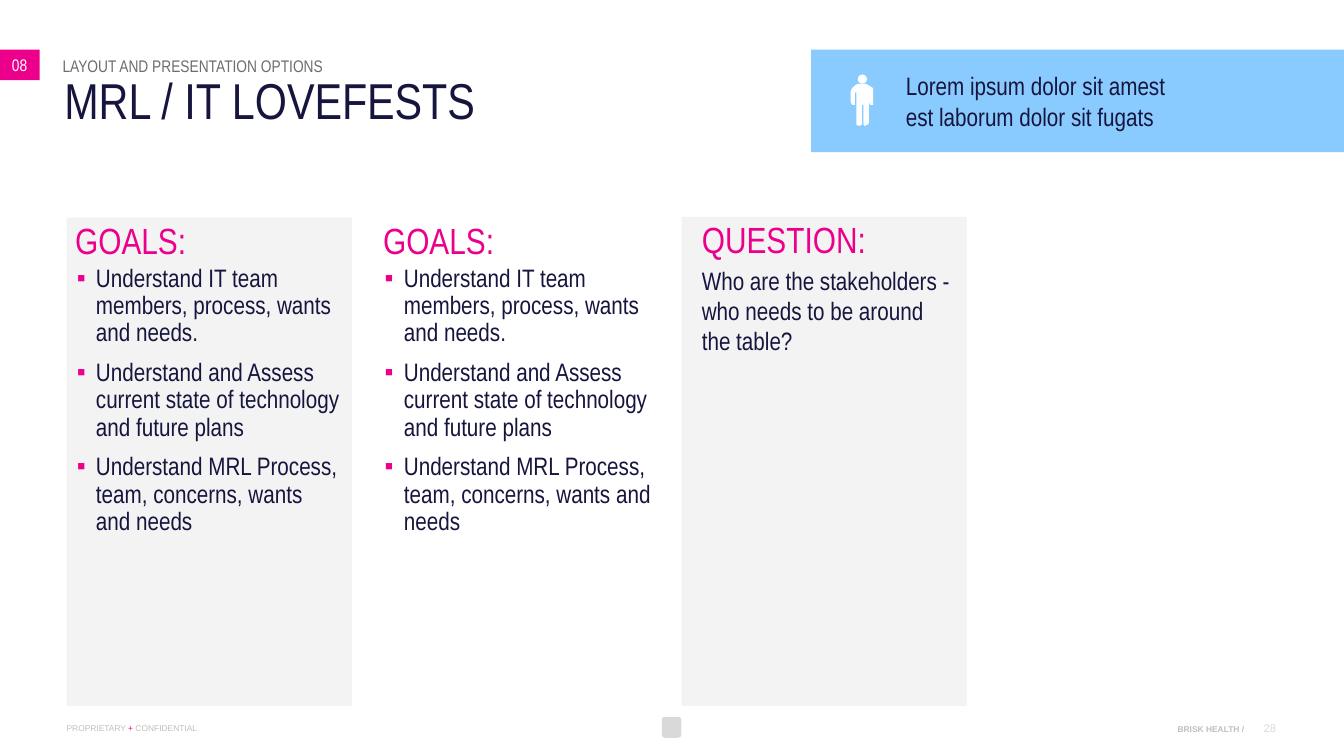
from lxml.etree import SubElement
from pptx import Presentation
from pptx.dml.color import RGBColor
from pptx.enum.shapes import MSO_SHAPE as Shape
from pptx.enum.text import MSO_ANCHOR as Anchor, PP_ALIGN as Align
from pptx.oxml.ns import qn
from pptx.util import Pt

COLORS = {
    "pink": "EC008B",
    "navy": "16153E",
    "sky": "89CBFF",
    "panel": "F3F3F3",
    "gray": "6D6D6D",
    "footer": "BFBFBF",
    "mark": "D9D9D9",
    "white": "FFFFFF",
}
NARROW = "Arial Narrow"

GOALS = [
    "Understand IT team members, process, wants and needs.",
    "Understand and Assess current state of technology and future plans",
    "Understand MRL Process, team, concerns, wants and needs",
]

# Right half of the person's body: distance from the axis, height on the slide
BODY_HALF = [
    (0, 60.5), (3, 60.5), (5, 61), (7.2, 62.6), (7.9, 64.8), (7.9, 73.4),
    (7.4, 74.6), (6.5, 74.9), (5.4, 74.6), (5, 73.4), (5, 65.5), (4.3, 65.5),
    (4.3, 87.8), (3.8, 89.4), (2.2, 90), (0.8, 89.4), (0.3, 87.8),
    (0.3, 74.9), (0, 74.9),
]


def para(text, size=18, color="navy", font=NARROW, bold=False, align=Align.LEFT,
         line=None, after=0, margin=0, bullet=False, accents=None):
    """Describe one paragraph; "|" parts its runs, accents colours runs by index."""
    return dict(text=text, size=size, color=color, font=font, bold=bold,
                align=align, line=line, after=after, margin=margin,
                bullet=bullet, accents=accents or {})


def heading(text, margin=0):
    return para(text, size=26, color="pink", after=3, margin=margin)


class SlideBuilder:
    def __init__(self, slide):
        self.shapes = slide.shapes

    def rgb(self, name):
        return RGBColor.from_string(COLORS[name])

    def paint(self, shape, color):
        shape.shadow.inherit = False
        shape.fill.solid()
        shape.fill.fore_color.rgb = self.rgb(color)
        shape.line.fill.background()

    def block(self, kind, left, top, width, height, color):
        block = self.shapes.add_shape(kind, Pt(left), Pt(top), Pt(width), Pt(height))
        self.paint(block, color)
        return block

    def outline(self, points, color):
        builder = self.shapes.build_freeform(*points[0], scale=Pt(1))
        builder.add_line_segments(points[1:], close=True)
        self.paint(builder.convert_to_shape(), color)

    def label(self, left, top, width, height, paras, **frame):
        box = self.shapes.add_textbox(Pt(left), Pt(top), Pt(width), Pt(height))
        self.put_text(box, paras, **frame)

    def put_text(self, shape, paras, insets=(0, 0, 0, 0), anchor=Anchor.TOP, wrap=True):
        frame = shape.text_frame
        frame.word_wrap = wrap
        frame.vertical_anchor = anchor
        (frame.margin_left, frame.margin_top,
         frame.margin_right, frame.margin_bottom) = map(Pt, insets)
        for i, style in enumerate(paras):
            paragraph = frame.paragraphs[0] if i == 0 else frame.add_paragraph()
            self.fill_paragraph(paragraph, style)

    def fill_paragraph(self, paragraph, style):
        paragraph.alignment = style["align"]
        paragraph.space_after = Pt(style["after"])
        if style["line"]:
            paragraph.line_spacing = style["line"]
        props = paragraph._p.get_or_add_pPr()
        props.set("marL", str(Pt(style["margin"])))
        props.set("indent", str(Pt(-13.7) if style["bullet"] else 0))
        if style["bullet"]:
            color = SubElement(props, qn("a:buClr"))
            SubElement(color, qn("a:srgbClr"), val=COLORS["pink"])
            SubElement(props, qn("a:buFont"), typeface="Arial")
            SubElement(props, qn("a:buChar"), char="▪")
        else:
            SubElement(props, qn("a:buNone"))
        for i, row in enumerate(style["text"].split("\n")):
            if i:
                paragraph.add_line_break()
            for piece in row.split("|"):
                paragraph.add_run().text = piece
        for i, run in enumerate(paragraph.runs):
            run.font.name = style["font"]
            run.font.size = Pt(style["size"])
            run.font.bold = style["bold"]
            run.font.color.rgb = self.rgb(style["accents"].get(i, style["color"]))


def main():
    deck = Presentation()
    deck.slide_width, deck.slide_height = Pt(960.5), Pt(540)
    page = SlideBuilder(deck.slides.add_slide(deck.slide_layouts[6]))

    # Footer
    small = dict(size=6, font="Arial", color="footer")
    page.label(38.2, 516.3, 104.4, 7.2,
               [para("PROPRIETARY |+| CONFIDENTIAL", accents={1: "pink"}, **small)],
               insets=(9.4, 0, 0, 0), wrap=False)
    page.block(Shape.ROUNDED_RECTANGLE, 473, 512, 14, 15, "mark")
    page.label(789.1, 517, 109.4, 7.2,
               [para("BRISK HEALTH /", bold=True, align=Align.RIGHT, **small)],
               insets=(9.4, 0, 9.4, 0))
    page.label(890, 515.5, 22, 10,
               [para("28", size=8, font="Arial", color="mark", align=Align.RIGHT)])

    # Section number, section name and title
    section = page.block(Shape.RECTANGLE, 0, 35.5, 28.4, 21.7, "pink")
    page.put_text(section, [para("08", size=12, color="white", margin=2.7)],
                  insets=(5.8, 3.6, 0, 3.6), anchor=Anchor.MIDDLE)
    page.label(42, 39.8, 626, 14.4,
               [para("LAYOUT AND PRESENTATION OPTIONS", size=12, color="gray", margin=2.7)])
    page.label(46, 57.5, 864, 36, [para("MRL / IT LOVEFESTS", size=36, line=0.8)])

    # Callout with person
    callout = page.block(Shape.RECTANGLE, 579.6, 35.5, 380.9, 73.3, "sky")
    page.put_text(callout, [para("Lorem ipsum dolor sit amest\nest laborum dolor sit fugats")],
                  insets=(67.8, 3.6, 8.6, 3.6), anchor=Anchor.MIDDLE)
    axis = 616.3
    body = [(axis + dx, y) for dx, y in BODY_HALF]
    body += [(axis - dx, y) for dx, y in reversed(BODY_HALF)]
    page.outline(body, "white")
    page.block(Shape.OVAL, axis - 3.3, 53.2, 6.6, 6.6, "white")

    # Goals, once on a panel and once plain
    goals = [heading("GOALS:", margin=6)]
    goals += [para(goal, line=0.9, after=9, margin=20.9, bullet=True) for goal in GOALS]
    goals_panel = page.block(Shape.RECTANGLE, 47.7, 155.5, 203.8, 348.8, "panel")
    page.put_text(goals_panel, goals, insets=(0, 0, 8.6, 0))
    page.label(267.8, 155.5, 203.8, 229.7, goals)

    # Question
    question_panel = page.block(Shape.RECTANGLE, 487.2, 155, 203.8, 349.3, "panel")
    page.put_text(question_panel,
                  [heading("QUESTION:"),
                   para("Who are the stakeholders - who needs to be around the table?", after=3)],
                  insets=(14.4, 0, 8.6, 0))

    deck.save("out.pptx")


if __name__ == "__main__":
    main()
